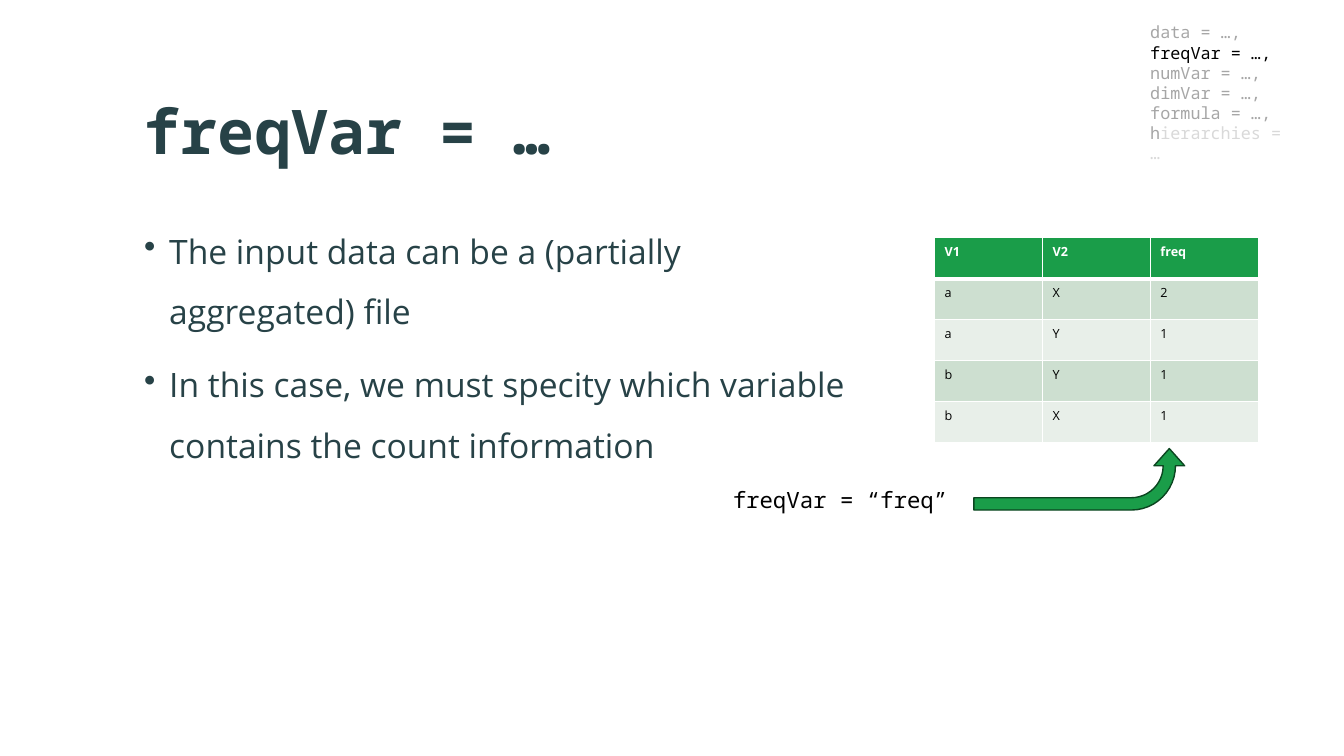
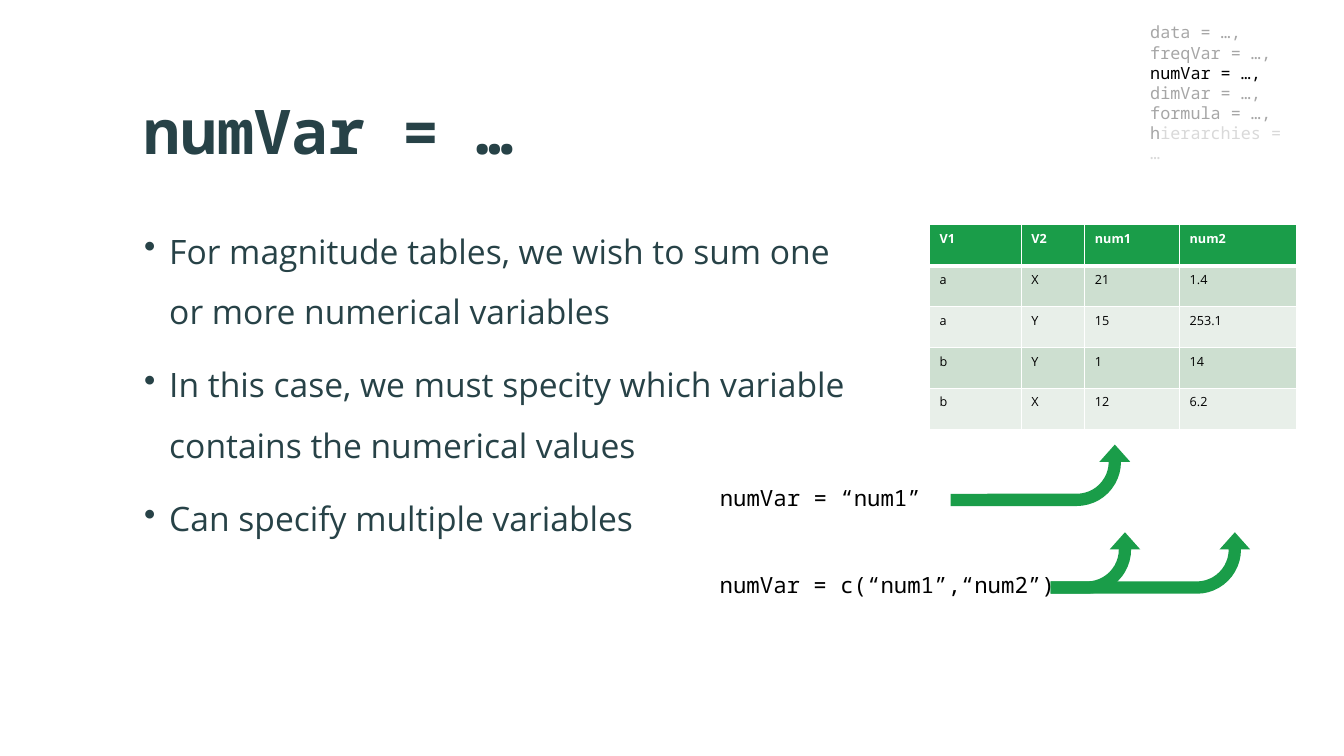
import lxml.etree
import pptx
import pptx.dml.color
import pptx.enum.shapes
import pptx.enum.text
import pptx.oxml.ns
import pptx.util

RGBColor = pptx.dml.color.RGBColor
WHITE = RGBColor(0xFF, 0xFF, 0xFF)
BLACK = RGBColor(0x00, 0x00, 0x00)
INK = RGBColor(0x27, 0x42, 0x47)
GREEN = RGBColor(0x1A, 0x9D, 0x49)
DARK_GREEN = RGBColor(0x0B, 0x45, 0x20)
BAND = RGBColor(0xCD, 0xDF, 0xD0)
PALE_BAND = RGBColor(0xE8, 0xEF, 0xE9)
GREY = RGBColor(0xA6, 0xA6, 0xA6)
LIGHT_GREY = RGBColor(0xD9, 0xD9, 0xD9)

PX = 9144
ARROW_HEIGHT = 61
ARROW_BENDS = (0.2, 0.25, 0.28, 0.84)
MONO = "Noto Sans Mono"
SANS = "Open Sans"
Pt = pptx.util.Pt
TITLE_FONT = {"name": MONO, "size": Pt(44), "bold": True}
BODY_FONT = {"name": SANS, "size": Pt(24)}
CODE_FONT = {"name": MONO, "size": Pt(16)}
PARAMETER_FONT = {"name": MONO, "size": Pt(12)}
HEADER_FONT = {"name": SANS, "size": Pt(9), "bold": True}
CELL_FONT = {"name": SANS, "size": Pt(9), "bold": False}
BODY_FORMAT = {"line_spacing": 1.5, "space_after": Pt(9)}
TITLE_FRAME = {
    "vertical_anchor": pptx.enum.text.MSO_ANCHOR.MIDDLE,
    "margin_top": 0,
}
PARAMETERS = ("data", "freqVar", "numVar", "dimVar", "formula")


def px(length):
    return pptx.util.Emu(round(length * PX))


def set_values(target, values):
    for name, value in values.items():
        setattr(target, name, value)


def add_span(para, text, font, color):
    span = para.add_run()
    span.text = text
    set_values(span.font, font)
    span.font.color.rgb = color


def add_text(page, place, paragraphs, font, frame_format=None):
    box = page.shapes.add_textbox(*map(px, place))
    frame = box.text_frame
    frame.word_wrap = True
    set_values(frame, frame_format or {})
    for index, spans in enumerate(paragraphs):
        para = frame.add_paragraph() if index else frame.paragraphs[0]
        for text, color in spans:
            add_span(para, text, font, color)
    return box


def add_title(page, text):
    add_text(page, (133, 60, 1056, 143), [[(text, INK)]], TITLE_FONT, TITLE_FRAME)


def add_bullets(page, texts):
    paragraphs = [[(text, INK)] for text in texts]
    box = add_text(page, (133, 204, 739, 435), paragraphs, BODY_FONT)
    for para in box.text_frame.paragraphs:
        set_values(para, BODY_FORMAT)
        properties = para._p.get_or_add_pPr()
        properties.set("marL", str(px(25)))
        properties.set("indent", str(px(-25)))
        bullet = lxml.etree.SubElement(properties, pptx.oxml.ns.qn("a:buChar"))
        bullet.set("char", "•")


def add_parameters(page, current):
    paragraphs = [
        [(f"{name} = …,", BLACK if name == current else GREY)] for name in PARAMETERS
    ]
    paragraphs.append([("h", GREY), ("ierarchies = …", LIGHT_GREY)])
    add_text(page, (1131, 17, 154, 151), paragraphs, PARAMETER_FONT)


def add_code(page, left, top, width, text):
    add_text(page, (left, top, width, 37), [[(text, BLACK)]], CODE_FONT)


def add_borders(cell, widths):
    properties = cell._tc.get_or_add_tcPr()
    for side, width in widths.items():
        line = lxml.etree.SubElement(properties, pptx.oxml.ns.qn(f"a:ln{side}"))
        line.set("w", str(Pt(width)))
        fill = lxml.etree.SubElement(line, pptx.oxml.ns.qn("a:solidFill"))
        color = lxml.etree.SubElement(fill, pptx.oxml.ns.qn("a:srgbClr"))
        color.set("val", str(WHITE))


def add_data_table(page, left, top, widths, rows):
    height = 203
    place = map(px, (left, top, sum(widths), height))
    table = page.shapes.add_table(len(rows), len(widths), *place).table
    for column, width in zip(table.columns, widths):
        column.width = px(width)
    for row_index, values in enumerate(rows):
        table.rows[row_index].height = px(height / len(rows))
        header = row_index == 0
        fill = GREEN if header else BAND if row_index % 2 else PALE_BAND
        borders = {
            "L": 1,
            "R": 1,
            "T": 3 if row_index == 1 else 1,
            "B": 3 if header else 1,
        }
        for column_index, value in enumerate(values):
            cell = table.cell(row_index, column_index)
            add_borders(cell, borders)
            cell.fill.solid()
            cell.fill.fore_color.rgb = fill
            add_span(
                cell.text_frame.paragraphs[0],
                value,
                HEADER_FONT if header else CELL_FONT,
                WHITE if header else BLACK,
            )


def add_bent_arrow(page, left, top, length, outline=None):
    shift = (length - ARROW_HEIGHT) / 2
    arrow = page.shapes.add_shape(
        pptx.enum.shapes.MSO_SHAPE.BENT_ARROW,
        *map(px, (left + shift, top - shift, ARROW_HEIGHT, length)),
    )
    arrow.rotation = 90
    arrow._element.spPr.get_or_add_xfrm().set("flipH", "1")
    for index, bend in enumerate(ARROW_BENDS):
        arrow.adjustments[index] = bend
    arrow.shadow.inherit = False
    arrow.fill.solid()
    arrow.fill.fore_color.rgb = GREEN
    if outline is None:
        arrow.line.fill.background()
    else:
        arrow.line.color.rgb = outline
        arrow.line.width = Pt(1)


def add_page(deck, variable, bullets):
    page = deck.slides.add_slide(deck.slide_layouts[6])
    add_title(page, f"{variable} = …")
    add_bullets(page, bullets)
    add_parameters(page, variable)
    return page


def add_frequency_page(deck):
    page = add_page(
        deck,
        "freqVar",
        (
            "The input data can be a (partially aggregated) file",
            "In this case, we must specity which variable contains the count information",
        ),
    )
    rows = (
        ("V1", "V2", "freq"),
        ("a", "X", "2"),
        ("a", "Y", "1"),
        ("b", "Y", "1"),
        ("b", "X", "1"),
    )
    add_data_table(page, 927, 236, (107, 107, 107), rows)
    add_bent_arrow(page, 966, 445, 209, DARK_GREEN)
    add_code(page, 717, 477, 306, "freqVar = “freq”")


def add_numeric_page(deck):
    page = add_page(
        deck,
        "numVar",
        (
            "For magnitude tables, we wish to sum one or more numerical variables",
            "In this case, we must specity which variable contains the numerical values",
            "Can specify multiple variables",
        ),
    )
    rows = (
        ("V1", "V2", "num1", "num2"),
        ("a", "X", "21", "1.4"),
        ("a", "Y", "15", "253.1"),
        ("b", "Y", "1", "14"),
        ("b", "X", "12", "6.2"),
    )
    add_data_table(page, 922, 223, (91, 63, 94, 116), rows)
    add_bent_arrow(page, 943, 441, 178)
    add_code(page, 704, 475, 261, "numVar = “num1”")
    for length in (198, 89):
        add_bent_arrow(page, 1042, 528, length)
    add_code(page, 704, 562, 370, "numVar = c(“num1”,“num2”)")


def main():
    deck = pptx.Presentation()
    set_values(deck, {"slide_width": px(1333), "slide_height": px(750)})
    add_frequency_page(deck)
    add_numeric_page(deck)
    deck.save("out.pptx")


if __name__ == "__main__":
    main()
